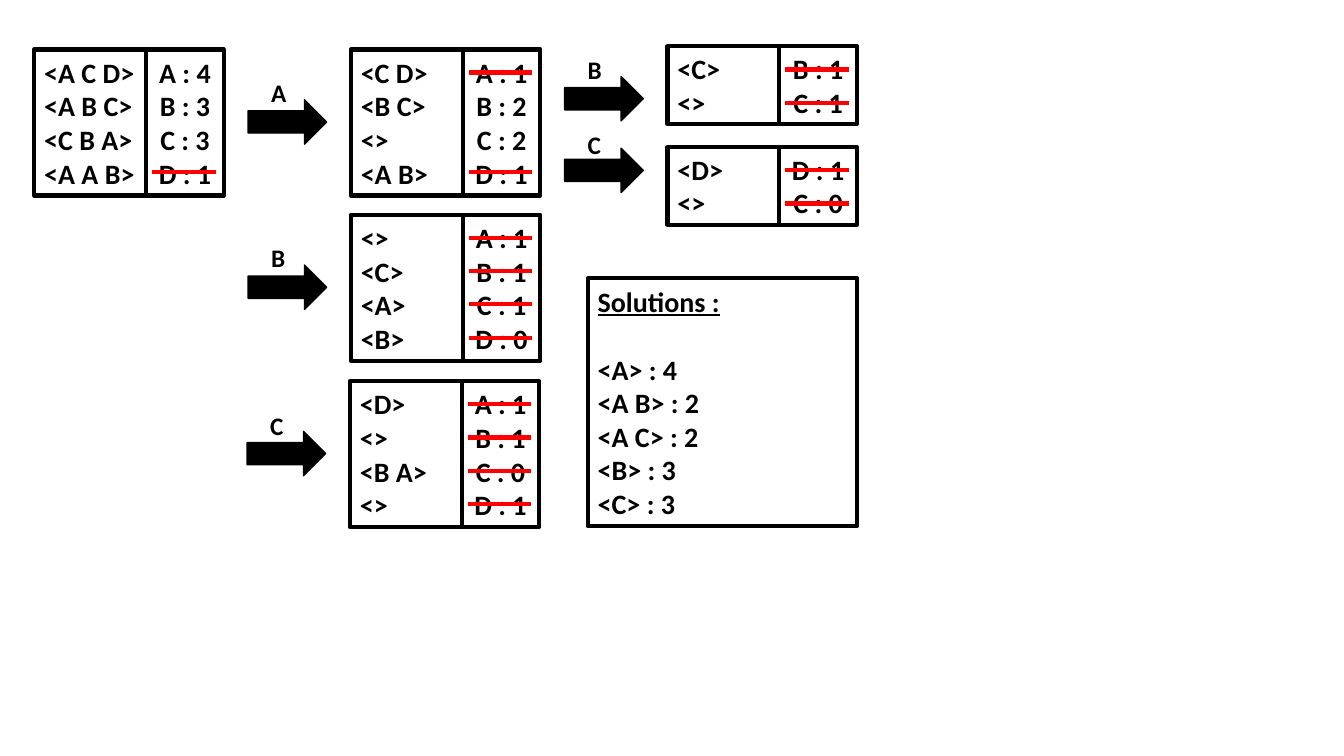
from dataclasses import dataclass

from lxml import etree
from pptx import Presentation
from pptx.dml.color import RGBColor
from pptx.enum.shapes import MSO_CONNECTOR, MSO_SHAPE
from pptx.enum.text import MSO_ANCHOR, PP_ALIGN
from pptx.oxml.ns import qn
from pptx.util import Inches, Pt


@dataclass(frozen=True)
class Theme:
    """Colours, font and sizes of the slide."""
    ink: RGBColor = RGBColor(0, 0, 0)
    paper: RGBColor = RGBColor(255, 255, 255)
    strike: RGBColor = RGBColor(255, 0, 0)
    font: str = "Calibri"
    body: int = 20
    label: int = 18
    border: int = 3
    arrow_border: int = 1


THEME = Theme()

# left, top, sequences, item counts, struck-out items
DATABASES = [
    (0.34, 0.49, ["<A C D>", "<A B C>", "<C B A>", "<A A B>"],
     ["A : 4", "B : 3", "C : 3", "D : 1"], "D"),
    (3.48, 0.49, ["<C D>", "<B C>", "<>", "<A B>"],
     ["A : 1", "B : 2", "C : 2", "D : 1"], "AD"),
    (3.48, 2.13, ["<>", "<C>", "<A>", "<B>"],
     ["A : 1", "B : 1", "C : 1", "D : 0"], "ABCD"),
    (3.47, 3.78, ["<D>", "<>", "<B A>", "<>"],
     ["A : 1", "B : 1", "C : 0", "D : 1"], "ABCD"),
    (6.62, 0.46, ["<C>", "<>"], ["B : 1", "C : 1"], "BC"),
    (6.62, 1.46, ["<D>", "<>"], ["D : 1", "C : 0"], "DC"),
]
# projected item, arrow left, arrow top, label top
PROJECTIONS = [
    ("A", 2.46, 0.99, 0.72),
    ("B", 2.46, 2.63, 2.36),
    ("C", 2.45, 4.28, 4.02),
    ("B", 5.6, 0.76, 0.49),
    ("C", 5.6, 1.47, 1.23),
]
SOLUTIONS_TITLE = "Solutions :"
SOLUTIONS = ["<A> : 4", "<A B> : 2", "<A C> : 2", "<B> : 3", "<C> : 3"]
SOLUTIONS_AT = (5.83, 2.76, 2.67, 2.46)

SEQ_W, COUNT_W = 1.11, 0.77
ROW_H, PAD_H = 0.34, 0.09
STRIKE_X, STRIKE_Y, STRIKE_W, STRIKE_STEP = 0.06, 0.23, 0.63, 0.33
ARROW_W, ARROW_H = 0.78, 0.44
LABEL_X, LABEL_SIZE = 0.13, 0.4
TITLE_GAP = 24.4  # one body line, in points


def write(tf, lines, size, align=PP_ALIGN.LEFT):
    """Put one bold paragraph per line into a text frame."""
    for i, line in enumerate(lines):
        p = tf.add_paragraph() if i else tf.paragraphs[0]
        p.alignment = align
        r = p.add_run()
        r.text = line
        r.font.name, r.font.size, r.font.bold = THEME.font, Pt(size), True
        r.font.color.rgb = THEME.ink


def add_preset(slide, kind, at, fill, border):
    """Add a filled preset shape with an ink outline."""
    s = slide.shapes.add_shape(kind, *map(Inches, at))
    s.shadow.inherit = False
    s.fill.solid()
    s.fill.fore_color.rgb = fill
    s.line.color.rgb = THEME.ink
    s.line.width = Pt(border)
    return s


def add_box(slide, at, lines, align=PP_ALIGN.LEFT):
    """Add a bordered text box and return its text frame."""
    s = add_preset(slide, MSO_SHAPE.RECTANGLE, at, THEME.paper, THEME.border)
    tf = s.text_frame
    tf.word_wrap = True
    tf.vertical_anchor = MSO_ANCHOR.MIDDLE
    write(tf, lines, THEME.body, align)
    return tf


def add_strike(slide, x, y):
    """Draw a red line through one item count."""
    c = slide.shapes.add_connector(
        MSO_CONNECTOR.STRAIGHT, *map(Inches, (x, y, x + STRIKE_W, y)))
    c.line.color.rgb = THEME.strike
    c.line.width = Pt(THEME.border)
    etree.SubElement(c._element.spPr, qn("a:effectLst"))


def add_database(slide, x, y, sequences, counts, struck):
    """Add a sequence box with its item counts and strikes."""
    h = len(sequences) * ROW_H + PAD_H
    count_x = x + SEQ_W
    add_box(slide, (x, y, SEQ_W, h), sequences)
    add_box(slide, (count_x, y, COUNT_W, h), counts, PP_ALIGN.CENTER)
    for row, count in enumerate(counts):
        if count[0] in struck:
            add_strike(slide, count_x + STRIKE_X,
                       y + STRIKE_Y + row * STRIKE_STEP)


def add_projection(slide, item, x, y, label_y):
    """Add an arrow with the projected item above it."""
    add_preset(slide, MSO_SHAPE.RIGHT_ARROW, (x, y, ARROW_W, ARROW_H),
               THEME.ink, THEME.arrow_border)
    label = slide.shapes.add_textbox(
        *map(Inches, (x + LABEL_X, label_y, LABEL_SIZE, LABEL_SIZE)))
    label.text_frame.word_wrap = True
    write(label.text_frame, [item], THEME.label)


def add_solutions(slide):
    """Add the list of solutions under an underlined heading."""
    tf = add_box(slide, SOLUTIONS_AT, [SOLUTIONS_TITLE, *SOLUTIONS])
    heading = tf.paragraphs[0]
    heading.space_after = Pt(TITLE_GAP)
    heading.runs[0].font.underline = True


prs = Presentation()
prs.slide_width, prs.slide_height = Inches(13.33), Inches(7.5)
slide = prs.slides.add_slide(prs.slide_layouts[6])
for database in DATABASES:
    add_database(slide, *database)
for projection in PROJECTIONS:
    add_projection(slide, *projection)
add_solutions(slide)
prs.save("out.pptx")
